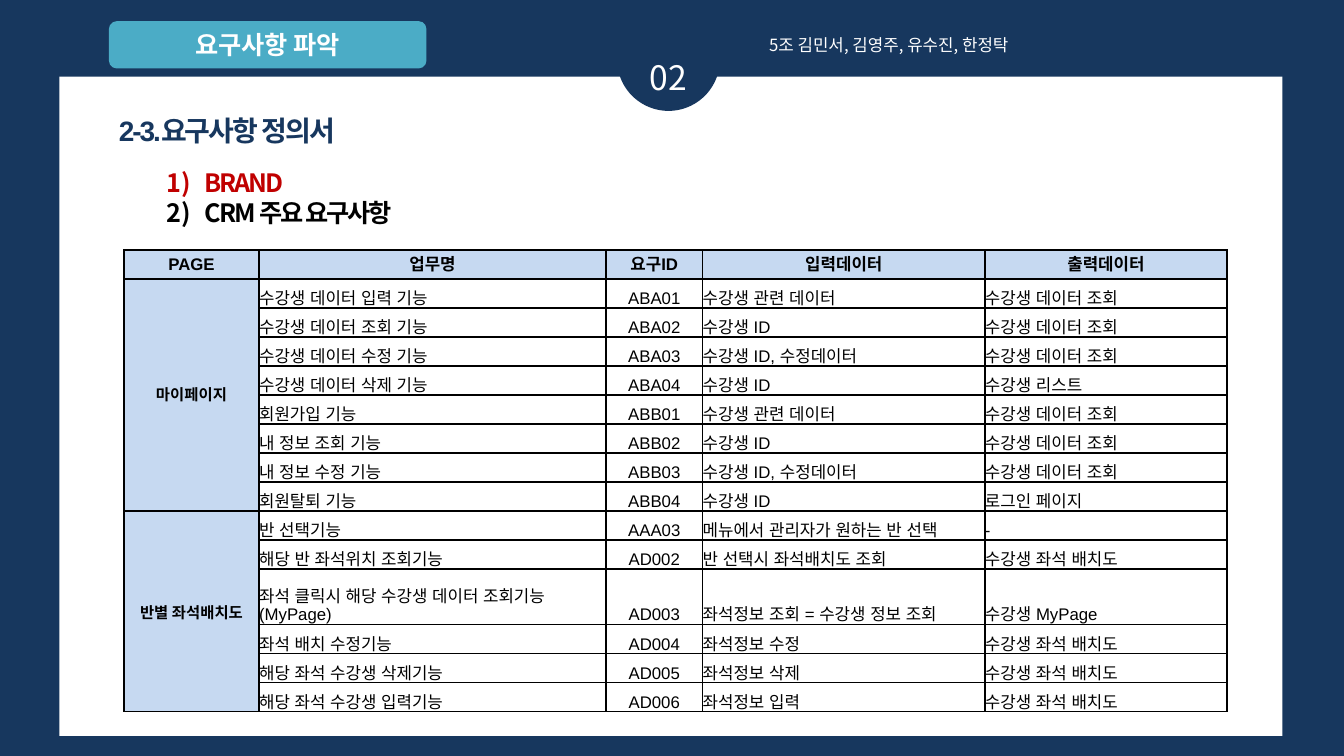
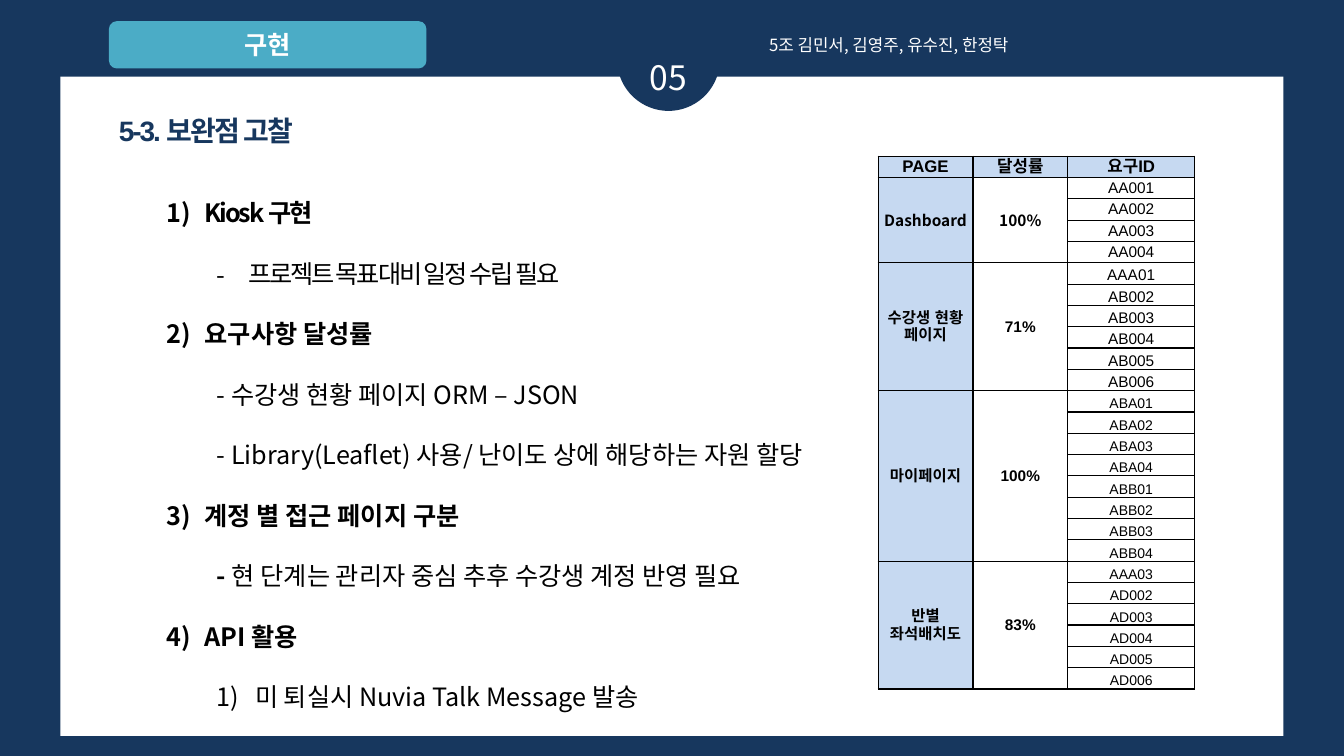
from dataclasses import dataclass

from lxml.etree import SubElement
from pptx import Presentation
from pptx.dml.color import RGBColor
from pptx.enum.shapes import MSO_SHAPE as Shape
from pptx.enum.text import MSO_ANCHOR as Anchor, MSO_AUTO_SIZE as AutoSize, PP_ALIGN as Align
from pptx.oxml.ns import qn
from pptx.util import Inches, Pt

COLORS = {
    "navy": "17375E",
    "teal": "4BACC6",
    "pale": "C6D9F1",
    "red": "C00000",
    "white": "FFFFFF",
    "black": "000000",
}
SANS, KOREAN = "Arial", "Noto Sans CJK KR"
AUTHORS = "5조 김민서, 김영주, 유수진, 한정탁"
TITLE_BOX = (1.08, 1.08, 11.26, 0.44)
CIRCLE_SIZE = 1.02
TALL_ROW = 0.55


@dataclass
class Group:
    """Rows of a table that share merged heading cells."""
    heads: list
    rows: list
    size: int = 12
    anchor: Anchor = Anchor.BOTTOM
    face: str = SANS


@dataclass
class Item:
    """One paragraph of a list, with its marker and indents in inches."""
    text: str
    marker: str = "number"
    level: int = 0
    indent: tuple = (0.38, -0.38)
    bold: bool = True
    color: str = "black"
    spacing: float = 0
    lead: str = ""


def inches(box):
    """Convert a box of inches to lengths."""
    return [Inches(value) for value in box]


def rgb(name):
    """Look up a palette colour."""
    return RGBColor.from_string(COLORS[name])


def write(para, text, size=12, face=KOREAN, color="black", bold=False, spacing=0, align=None):
    """Add a formatted span of text to a paragraph."""
    span = para.add_run()
    span.text = text
    span.font.size, span.font.bold, span.font.name = Pt(size), bold, face
    span.font.color.rgb = rgb(color)
    properties = span.font._element
    SubElement(properties, qn("a:ea")).set("typeface", face)
    properties.set("spc", str(round(spacing * 100)))
    if align is not None:
        para.alignment = align


def add_block(page, kind, box, color):
    """Draw a plain filled shape."""
    block = page.shapes.add_shape(kind, *inches(box))
    block.shadow.inherit = False
    block.fill.solid()
    block.fill.fore_color.rgb = rgb(color)
    block.line.fill.background()
    return block


def add_label(page, box, text, **style):
    """Add a wrapped text box with one line."""
    label = page.shapes.add_textbox(*inches(box))
    label.text_frame.word_wrap = True
    write(label.text_frame.paragraphs[0], text, color="white", **style)


def place(holder, box):
    """Move a placeholder and return its top-anchored text frame."""
    holder.left, holder.top, holder.width, holder.height = inches(box)
    frame = holder.text_frame
    frame.auto_size, frame.vertical_anchor, frame.word_wrap = AutoSize.NONE, Anchor.TOP, True
    return frame


def add_page(deck, section, number, title, panel_left):
    """Start a page with the shared panel, section badge, number and title."""
    page = deck.slides.add_slide(deck.slide_layouts[1])
    panel = add_block(page, Shape.RECTANGLE, (panel_left, 0.76, 12.13, 6.54), "white")
    page.shapes.element.insert(2, panel._element)
    add_block(page, Shape.OVAL, (6.12, 0.08, CIRCLE_SIZE, CIRCLE_SIZE), "navy")
    add_label(page, (6.04, 0.52, 1.18, 0.5), number, size=24, align=Align.CENTER)
    add_label(page, (7.53, 0.3, 3.94, 0.3), AUTHORS, align=Align.JUSTIFY)
    badge = add_block(page, Shape.ROUNDED_RECTANGLE, (1.08, 0.21, 3.15, 0.47), "teal")
    badge.text_frame.vertical_anchor = Anchor.MIDDLE
    write(badge.text_frame.paragraphs[0], section, size=18, color="white", bold=True,
          align=Align.CENTER)
    heading = place(page.shapes.title, TITLE_BOX)
    write(heading.paragraphs[0], title, size=20, face=SANS, color="navy", bold=True,
          spacing=-1.5, align=Align.LEFT)
    return page


def mark(para, marker, indent):
    """Set the indents and the bullet of a paragraph."""
    properties = para._p.get_or_add_pPr()
    for name, value in zip(("marL", "indent"), indent):
        properties.set(name, str(Inches(value)))
    if marker:
        SubElement(properties, qn("a:buFont")).set("typeface", KOREAN)
    if marker == "number":
        SubElement(properties, qn("a:buAutoNum")).set("type", "arabicParenR")
    elif marker:
        SubElement(properties, qn("a:buChar")).set("char", marker)
    else:
        SubElement(properties, qn("a:buNone"))


def fill_list(page, box, items, line_spacing=1.0):
    """Fill the body placeholder with list items."""
    frame = place(page.placeholders[1], box)
    for index, item in enumerate(items):
        para = frame.add_paragraph() if index else frame.paragraphs[0]
        para.level = item.level
        para.line_spacing, para.space_before = line_spacing, Pt(0)
        mark(para, item.marker, item.indent)
        if item.lead:
            write(para, item.lead, size=18, bold=True)
        write(para, item.text, size=18, color=item.color, bold=item.bold, spacing=item.spacing)


def style_cell(cell, fill=None, anchor=Anchor.MIDDLE):
    """Give a cell black borders, no margins and an optional fill."""
    cell.margin_left = cell.margin_right = cell.margin_top = cell.margin_bottom = 0
    cell.vertical_anchor = anchor
    properties = cell._tc.get_or_add_tcPr()
    for side in ("lnL", "lnR", "lnT", "lnB"):
        border = SubElement(properties, qn(f"a:{side}"), w=str(Pt(1)))
        paint = SubElement(border, qn("a:solidFill"))
        SubElement(paint, qn("a:srgbClr")).set("val", COLORS["black"])
    if fill:
        cell.fill.solid()
        cell.fill.fore_color.rgb = rgb(fill)
    else:
        cell.fill.background()


def add_grid(page, box, widths, header, groups, left_columns=(), tall_row=None):
    """Draw a table whose first columns merge over each group of rows."""
    count = 1 + sum(len(group.rows) for group in groups)
    grid = page.shapes.add_table(count, len(widths), *inches(box)).table
    grid.first_row = grid.horz_banding = False
    for column, width in zip(grid.columns, widths):
        column.width = Inches(width)
    if tall_row:
        for index, row in enumerate(grid.rows):
            share = (box[3] - TALL_ROW) / (count - 1)
            row.height = Inches(TALL_ROW if index == tall_row else share)
    for column, text in enumerate(header):
        cell = grid.cell(0, column)
        style_cell(cell, "pale")
        write(cell.text_frame.paragraphs[0], text, face=SANS, bold=True, align=Align.CENTER)
    top = 1
    for group in groups:
        bottom = top + len(group.rows) - 1
        for column, text in enumerate(group.heads):
            for row in range(top, bottom + 1):
                style_cell(grid.cell(row, column), None if column else "pale")
            head = grid.cell(top, column)
            head.merge(grid.cell(bottom, column))
            write(head.text_frame.paragraphs[0], text, size=11, face=group.face, bold=True,
                  align=Align.CENTER)
        for row, values in enumerate(group.rows, top):
            for column, text in enumerate(values, len(group.heads)):
                cell = grid.cell(row, column)
                style_cell(cell, anchor=group.anchor)
                write(cell.text_frame.paragraphs[0], text, size=group.size, face=SANS,
                      align=Align.LEFT if column in left_columns else Align.CENTER)
        top = bottom + 1


def requirements_page(deck):
    """Build the page that defines the requirements."""
    page = add_page(deck, "요구사항 파악", "02", "2-3.요구사항 정의서", 0.59)
    fill_list(page, (1.55, 1.61, 10.63, 0.71), [
        Item("BRAND", color="red", spacing=-1.5),
        Item("CRM 주요 요구사항", spacing=-1.5),
    ])
    lookup, seats = "수강생 데이터 조회", "수강생 좌석 배치도"
    groups = [
        Group(["마이페이지"], [
            ("수강생 데이터 입력 기능", "ABA01", "수강생 관련 데이터", lookup),
            ("수강생 데이터 조회 기능", "ABA02", "수강생 ID", lookup),
            ("수강생 데이터 수정 기능", "ABA03", "수강생 ID, 수정데이터", lookup),
            ("수강생 데이터 삭제 기능", "ABA04", "수강생 ID", "수강생 리스트"),
            ("회원가입 기능", "ABB01", "수강생 관련 데이터", lookup),
            ("내 정보 조회 기능", "ABB02", "수강생 ID", lookup),
            ("내 정보 수정 기능", "ABB03", "수강생 ID, 수정데이터", lookup),
            ("회원탈퇴 기능", "ABB04", "수강생 ID", "로그인 페이지"),
        ]),
        Group(["반별 좌석배치도"], [
            ("반 선택기능", "AAA03", "메뉴에서 관리자가 원하는 반 선택", "-"),
            ("해당 반 좌석위치 조회기능", "AD002", "반 선택시 좌석배치도 조회", seats),
            ("좌석 클릭시 해당 수강생 데이터 조회기능(MyPage)", "AD003",
             "좌석정보 조회 = 수강생 정보 조회", "수강생 MyPage"),
            ("좌석 배치 수정기능", "AD004", "좌석정보 수정", seats),
            ("해당 좌석 수강생 삭제기능", "AD005", "좌석정보 삭제", seats),
            ("해당 좌석 수강생 입력기능", "AD006", "좌석정보 입력", seats),
        ], face=KOREAN),
    ]
    add_grid(page, (1.23, 2.48, 10.95, 4.58), (1.34, 3.44, 0.96, 2.8, 2.4),
             ("PAGE", "업무명", "요구ID", "입력데이터", "출력데이터"), groups,
             left_columns=(1, 3, 4), tall_row=11)


def codes(prefix, first, last):
    """List one-cell rows of numbered requirement codes."""
    width = 5 - len(prefix)
    return [(f"{prefix}{number:0{width}}",) for number in range(first, last + 1)]


def review_page(deck):
    """Build the page that reviews points to improve."""
    page = add_page(deck, "구현", "05", "5-3. 보완점 고찰", 0.6)
    detail = {"marker": "", "level": 1, "indent": (0.5, 0), "bold": False}
    fill_list(page, (1.55, 1.61, 10.63, 5.55), [
        Item("Kiosk 구현", spacing=-1.5),
        Item("프로젝트 목표대비 일정 수립 필요", "-", 1, (0.81, -0.31), False, spacing=-1.5),
        Item("요구사항 달성률"),
        Item("- 수강생 현황 페이지 ORM – JSON", **detail),
        Item("- Library(Leaflet) 사용/ 난이도 상에 해당하는 자원 할당", **detail),
        Item("계정 별 접근 페이지 구분"),
        Item("현 단계는 관리자 중심 추후 수강생 계정 반영 필요", lead="- ", **detail),
        Item("API 활용"),
        Item("미 퇴실시 Nuvia Talk Message 발송", "number", 1, (0.88, -0.38), False),
    ], line_spacing=2.0)
    groups = [
        Group(["Dashboard", "100%"], codes("AA", 1, 4), 11, Anchor.MIDDLE, KOREAN),
        Group(["수강생 현황 페이지", "71%"], codes("AAA", 1, 1) + codes("AB", 2, 6), 11),
        Group(["마이페이지", "100%"], codes("ABA", 1, 4) + codes("ABB", 1, 4), 10),
        Group(["반별 좌석배치도", "83%"], codes("AAA", 3, 3) + codes("AD", 2, 6), 10),
    ]
    add_grid(page, (8.71, 1.55, 3.13, 5.29), (0.94, 0.94, 1.26),
             ("PAGE", "달성률", "요구ID"), groups)


def main():
    """Build and save the deck."""
    deck = Presentation()
    deck.slide_width, deck.slide_height = Inches(13.33), Inches(7.5)
    backdrop = deck.slide_master.background.fill
    backdrop.solid()
    backdrop.fore_color.rgb = rgb("navy")
    requirements_page(deck)
    review_page(deck)
    deck.save("out.pptx")


if __name__ == "__main__":
    main()
